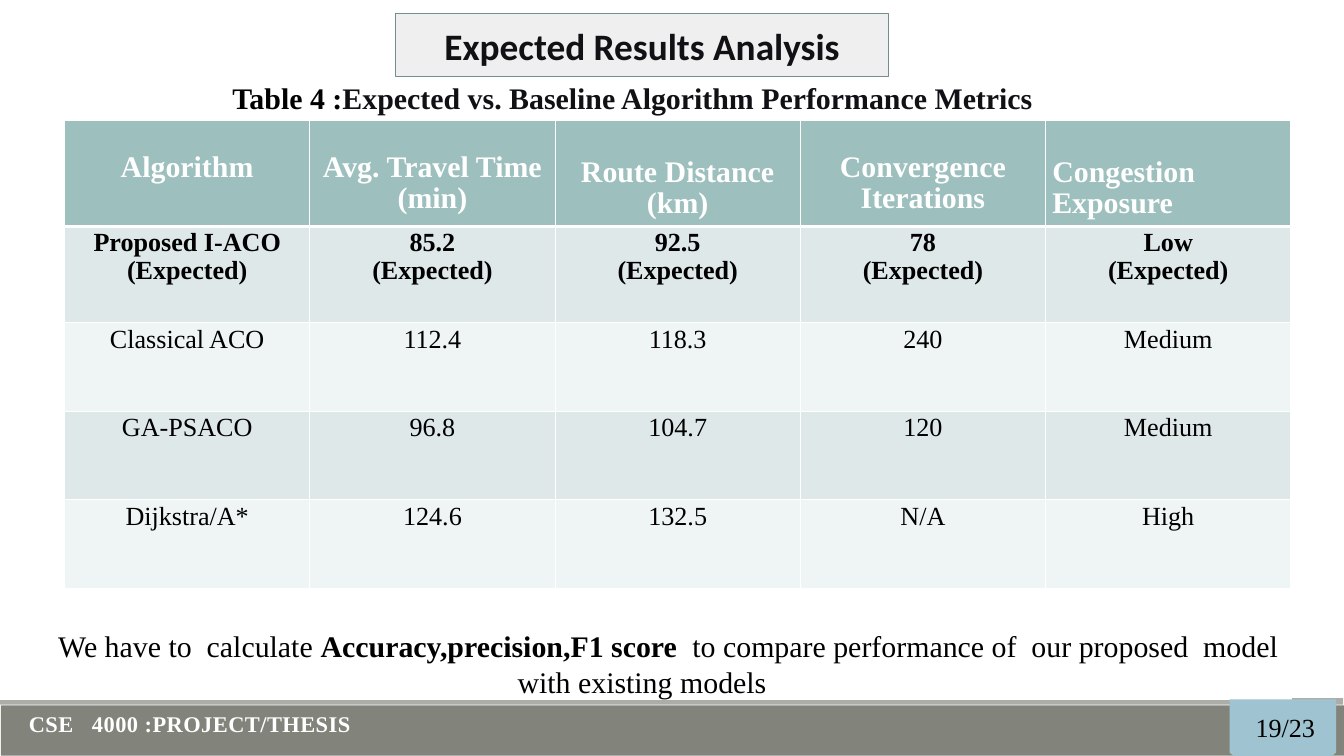
"""Build the expected results slide with its algorithm comparison table."""
from lxml import etree
from pptx import Presentation
from pptx.dml.color import RGBColor
from pptx.enum.shapes import MSO_SHAPE
from pptx.enum.text import MSO_ANCHOR, PP_ALIGN
from pptx.oxml.ns import qn
from pptx.util import Cm, Pt

RECTANGLE = MSO_SHAPE.RECTANGLE
TOP, MIDDLE = MSO_ANCHOR.TOP, MSO_ANCHOR.MIDDLE
LEFT, CENTER = PP_ALIGN.LEFT, PP_ALIGN.CENTER

WHITE = RGBColor(0xFF, 0xFF, 0xFF)
BLACK = RGBColor(0x00, 0x00, 0x00)
INK = RGBColor(0x0F, 0x11, 0x15)
FOOTER_GREY = RGBColor(0x82, 0x84, 0x7C)
STRIP_GREY = RGBColor(0xAC, 0xAD, 0xA8)
TITLE_FILL = RGBColor(0xEE, 0xEF, 0xEE)
TITLE_LINE = RGBColor(0x74, 0x8D, 0x8D)
BADGE_BLUE = RGBColor(0x9F, 0xC3, 0xD0)
HEADER_TEAL = RGBColor(0x9D, 0xBF, 0xBE)
BANDS = (RGBColor(0xDF, 0xE8, 0xE8), RGBColor(0xEF, 0xF4, 0xF4))

SERIF = "Times New Roman"
TITLE_FONT = {"name": "Calibri", "size": Pt(40), "bold": True}
LARGE = {"name": SERIF, "size": Pt(32), "bold": False}
LARGE_BOLD = {**LARGE, "bold": True}
BODY = {"name": SERIF, "size": Pt(28), "bold": False}
BODY_BOLD = {**BODY, "bold": True}
COURSE_FONT = {"name": SERIF, "size": Pt(24), "bold": True}

TITLE = [("Expected Results Analysis", TITLE_FONT, INK)]
CAPTION = [
    ("Table 4 :", LARGE_BOLD, BLACK),
    ("Expected vs. Baseline Algorithm Performance Metrics", LARGE_BOLD, INK),
]
NOTE = [
    ("We have to  calculate ", LARGE, BLACK),
    ("Accuracy,precision,F1 score", LARGE_BOLD, BLACK),
    ("  to compare performance of  our proposed  model with existing models", LARGE, BLACK),
]
COURSE = [("CSE   4000 :PROJECT/THESIS", COURSE_FONT, WHITE)]
PAGE = [("19/23", BODY, BLACK)]

HEADERS = [
    ("Algorithm", CENTER, 1.18),
    ("Avg. Travel Time (min)", CENTER, 1.18),
    ("Route Distance (km)", CENTER, 1.37),
    ("Convergence Iterations", CENTER, 1.18),
    ("Congestion Exposure", LEFT, 1.37),
]
RESULTS = [
    [(value, "(Expected)") for value in ("Proposed I-ACO", "85.2", "92.5", "78", "Low")],
    [("Classical ACO",), ("112.4",), ("118.3",), ("240",), ("Medium",)],
    [("GA-PSACO",), ("96.8",), ("104.7",), ("120",), ("Medium",)],
    [("Dijkstra/A*",), ("124.6",), ("132.5",), ("N/A",), ("High",)],
]
COLUMN_WIDTH = 9.27
ROW_HEIGHTS = (4.01, 3.63, 3.35, 3.35, 3.35)
LINE_SPACING = 0.96
BADGE_OUTLINE = [
    (46.48, 26.44), (50.5, 26.44), (50.5, 28.45), (49.15, 29.72),
    (48.49, 29.79), (47.8, 29.69), (46.48, 28.45),
]


def write(paragraph, runs, align):
    paragraph.alignment = align
    for text, font_values, color in runs:
        run = paragraph.add_run()
        run.text = text
        for attribute, value in font_values.items():
            setattr(run.font, attribute, value)
        run.font.color.rgb = color


def paint(shape, fill, line=None):
    shape.shadow.inherit = False
    shape.fill.solid()
    shape.fill.fore_color.rgb = fill
    if line is None:
        shape.line.fill.background()
    else:
        shape.line.color.rgb = line
        shape.line.width = Pt(1.25)


def add_panel(slide, box, fill, line=None, runs=(), anchor=MIDDLE):
    panel = slide.shapes.add_shape(RECTANGLE, *map(Cm, box))
    paint(panel, fill, line)
    panel.text_frame.word_wrap = True
    panel.text_frame.vertical_anchor = anchor
    write(panel.text_frame.paragraphs[0], runs, CENTER)
    return panel.text_frame.paragraphs[0]


def add_label(slide, box, runs, align=LEFT, frame_values=None):
    frame = slide.shapes.add_textbox(*map(Cm, box)).text_frame
    for attribute, value in {"word_wrap": True, **(frame_values or {})}.items():
        setattr(frame, attribute, value)
    write(frame.paragraphs[0], runs, align)
    return frame.paragraphs[0]


def fill_cell(cell, lines, font_values, color, fill, align, bottom_width):
    properties = cell._tc.get_or_add_tcPr()
    for side, width in (("lnL", 1), ("lnR", 1), ("lnT", 1), ("lnB", bottom_width)):
        border = etree.SubElement(properties, qn(f"a:{side}"), w=str(Pt(width)))
        solid = etree.SubElement(border, qn("a:solidFill"))
        etree.SubElement(solid, qn("a:srgbClr"), val=str(WHITE))
    cell.fill.solid()
    cell.fill.fore_color.rgb = fill
    cell.vertical_anchor = TOP
    for index, line in enumerate(lines):
        frame = cell.text_frame
        paragraph = frame.add_paragraph() if index else frame.paragraphs[0]
        paragraph.line_spacing = LINE_SPACING
        write(paragraph, [(line, font_values, color)], align)


def add_results_table(slide):
    size = (COLUMN_WIDTH * len(HEADERS), sum(ROW_HEIGHTS))
    table = slide.shapes.add_table(
        len(ROW_HEIGHTS), len(HEADERS), Cm(2.44), Cm(4.55), *map(Cm, size)
    ).table
    for column in table.columns:
        column.width = Cm(COLUMN_WIDTH)
    for row, height in zip(table.rows, ROW_HEIGHTS):
        row.height = Cm(height)
    for index, (header, align, top) in enumerate(HEADERS):
        cell = table.cell(0, index)
        fill_cell(cell, [header], LARGE_BOLD, WHITE, HEADER_TEAL, align, 3)
        cell.margin_top = Cm(top)
    for row, results in enumerate(RESULTS):
        font_values = BODY if row else BODY_BOLD
        for column, lines in enumerate(results):
            cell = table.cell(row + 1, column)
            fill_cell(cell, lines, font_values, BLACK, BANDS[row % 2], CENTER, 1)


def add_badge(slide):
    start, *corners = [(Cm(x), Cm(y)) for x, y in BADGE_OUTLINE]
    builder = slide.shapes.build_freeform(*start)
    builder.add_line_segments(corners, close=True)
    paint(builder.convert_to_shape(), BADGE_BLUE)


def main():
    presentation = Presentation()
    presentation.slide_width, presentation.slide_height = Cm(50.8), Cm(28.58)
    slide = presentation.slides.add_slide(presentation.slide_layouts[6])

    add_panel(slide, (0.03, 26.67, 50.77, 1.9), FOOTER_GREY)
    add_panel(slide, (0, 26.39, 50.77, 0.25), STRIP_GREY)
    add_panel(slide, (14.96, 0.51, 18.62, 2.39), TITLE_FILL, TITLE_LINE, TITLE)
    add_results_table(slide)
    note = add_panel(slide, (-0.25, 23.72, 49.05, 2.74), WHITE, WHITE, NOTE)
    note._p.get_or_add_pPr().set("indent", str(Cm(1.98)))
    course = add_label(slide, (0.84, 26.72, 24.56, 1.27), COURSE)
    course.runs[0].font._element.set("spc", "50")
    add_badge(slide)
    no_margins = {f"margin_{side}": 0 for side in ("left", "right", "top", "bottom")}
    page = add_label(slide, (46.41, 26.04, 4.34, 1.75), PAGE, CENTER, no_margins)
    page.line_spacing = Pt(57.4)
    add_label(slide, (8.53, 2.9, 31.47, 4.37), CAPTION)
    presentation.save("out.pptx")


if __name__ == "__main__":
    main()
